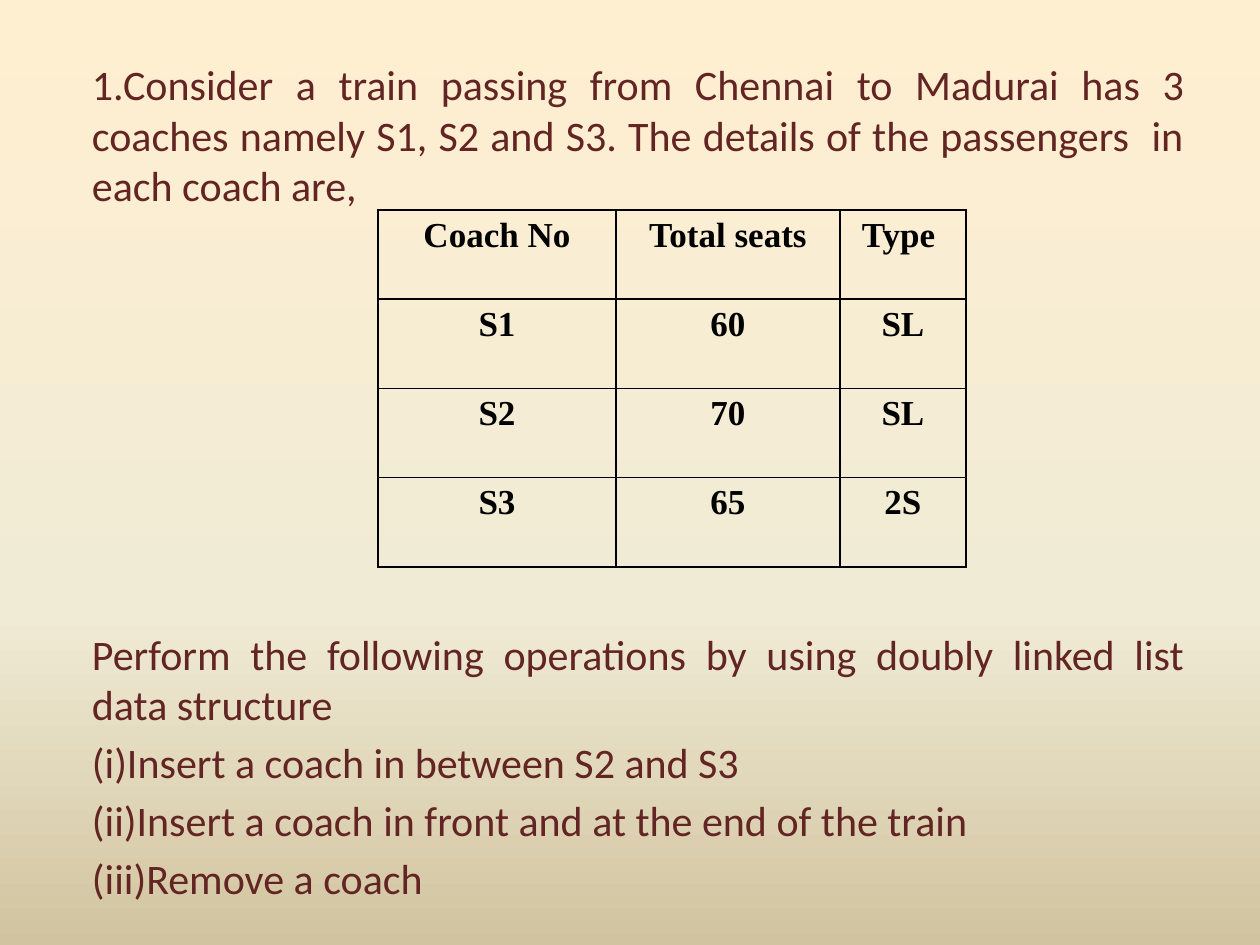
from copy import deepcopy
from dataclasses import dataclass

from lxml import etree
from pptx import Presentation
from pptx.dml.color import RGBColor
from pptx.enum.text import MSO_ANCHOR, MSO_AUTO_SIZE, PP_ALIGN
from pptx.oxml.ns import qn
from pptx.util import Inches, Pt

CENTER, JUSTIFY = PP_ALIGN.CENTER, PP_ALIGN.JUSTIFY
TOP = MSO_ANCHOR.TOP
NO_FIT = MSO_AUTO_SIZE.NONE
INK, BLACK = "632523", "000000"
UNIT = Inches(10) / 120  # grid of 120 columns by 90 rows


@dataclass
class Box:
    col: float
    row: float
    wide: float
    high: float

    def place(self) -> list[int]:
        return [grid(n) for n in (self.col, self.row, self.wide, self.high)]


@dataclass
class Line:
    text: str
    gap: float  # points before


STOPS = [(0, "FFEFD1"), (0.65, "F0EBD5"), (1, "D1C39F")]
BODY = Box(3, 5, 111, 79)
TABLE = Box(36, 20, 56, 34)
WIDTHS = [22.67, 21.33, 12]
LINES = [
    Line("1.Consider a train passing from Chennai to Madurai has 3 coaches namely "
         "S1, S2 and S3. The details of the passengers  in each coach are,", 0),
    Line("Perform the following operations by using doubly linked list "
         "data structure", 239),  # leaves room for the table
    Line("(i)Insert a coach in between S2 and S3", 4.3),
    Line("(ii)Insert a coach in front and at the end of the train", 4.3),
    Line("(iii)Remove a coach", 4.3),
]
ROWS = [
    ("Coach No", "Total seats", "Type "),
    ("S1", "60", "SL"),
    ("S2", "70", "SL"),
    ("S3", "65", "2S"),
]


def grid(count: float) -> int:
    return round(count * UNIT)


def color(code: str) -> RGBColor:
    return RGBColor.from_string(code)


def add_run(para, text: str, font: str, size: float, code: str, bold: bool) -> None:
    run = para.add_run()
    run.text = text
    run.font.name, run.font.size, run.font.bold = font, Pt(size), bold
    run.font.color.rgb = color(code)


def paint(slide) -> None:
    fill = slide.background.fill
    fill.gradient()
    fill.gradient_angle = 270
    # The default gradient has two stops; add a third
    first = fill.gradient_stops._gsLst[0]
    first.addnext(deepcopy(first))
    for stop, (place, code) in zip(fill.gradient_stops, STOPS):
        stop.color.rgb = color(code)
        stop.color.brightness = 0
        stop.position = place


def write_body(shape) -> None:
    shape.left, shape.top, shape.width, shape.height = BODY.place()
    frame = shape.text_frame
    frame.word_wrap, frame.auto_size = True, NO_FIT
    frame.vertical_anchor = TOP
    for i, line in enumerate(LINES):
        para = frame.paragraphs[0] if i == 0 else frame.add_paragraph()
        props = para._p.get_or_add_pPr()
        props.set("marL", str(Inches(0.38)))
        props.set("indent", "0")
        etree.SubElement(props, qn("a:buNone"))
        para.alignment, para.space_before = JUSTIFY, Pt(line.gap)
        add_run(para, line.text, "Calibri", 24, INK, False)


def edge(cell) -> None:
    props = cell._tc.get_or_add_tcPr()
    for i, side in enumerate(("lnL", "lnR", "lnT", "lnB")):
        line = etree.Element(qn(f"a:{side}"), w=str(Pt(1)))
        fill = etree.SubElement(line, qn("a:solidFill"))
        etree.SubElement(fill, qn("a:srgbClr"), val=BLACK)
        props.insert(i, line)


def add_table(slide) -> None:
    table = slide.shapes.add_table(len(ROWS), len(WIDTHS), *TABLE.place()).table
    table.first_row = table.horz_banding = False
    for col, width in zip(table.columns, WIDTHS):
        col.width = grid(width)
    for r, texts in enumerate(ROWS):
        table.rows[r].height = grid(TABLE.high / len(ROWS))
        for c, text in enumerate(texts):
            cell = table.cell(r, c)
            cell.fill.background()
            cell.margin_left = cell.margin_right = Inches(0.07)
            cell.margin_top = cell.margin_bottom = 0
            cell.vertical_anchor = TOP
            edge(cell)
            para = cell.text_frame.paragraphs[0]
            para.alignment, para.line_spacing = CENTER, 1.15
            add_run(para, text, "Times New Roman", 20, BLACK, True)


def main() -> None:
    deck = Presentation()
    deck.slide_width, deck.slide_height = grid(120), grid(90)
    # The slide has body text but no title
    slide = deck.slides.add_slide(deck.slide_layouts[1])
    title = slide.shapes.title.element
    title.getparent().remove(title)
    paint(slide)
    write_body(slide.placeholders[1])
    add_table(slide)
    deck.save("out.pptx")


if __name__ == "__main__":
    main()
